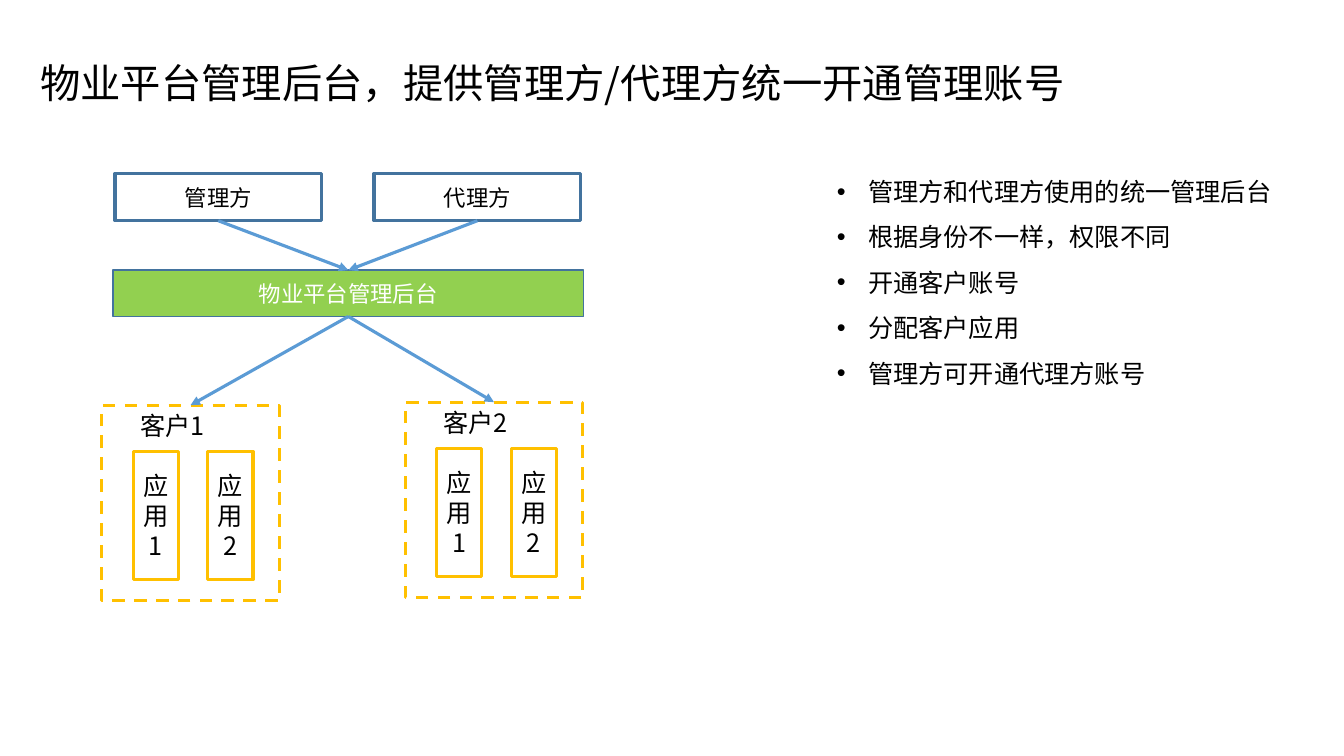
"""Build the property platform administration slide."""
from dataclasses import dataclass

from lxml.etree import SubElement
from pptx import Presentation
from pptx.dml.color import RGBColor
from pptx.enum.dml import MSO_LINE
from pptx.enum.shapes import MSO_CONNECTOR, MSO_SHAPE
from pptx.enum.text import MSO_ANCHOR as ANCHOR, MSO_AUTO_SIZE as FIT, PP_ALIGN as ALIGN
from pptx.oxml.ns import qn
from pptx.util import Inches, Pt

FONT = "Noto Sans CJK SC"
BLACK = RGBColor(0x00, 0x00, 0x00)
WHITE = RGBColor(0xFF, 0xFF, 0xFF)
GREEN = RGBColor(0x92, 0xD0, 0x50)
NAVY = RGBColor(0x43, 0x73, 0x9E)
BLUE = RGBColor(0x5B, 0x9B, 0xD5)
AMBER = RGBColor(0xFF, 0xC0, 0x00)
TOP, BOTTOM = 0, 2

TITLE = "物业平台管理后台，提供管理方/代理方统一开通管理账号"
POINTS = [
    "管理方和代理方使用的统一管理后台",
    "根据身份不一样，权限不同",
    "开通客户账号",
    "分配客户应用",
    "管理方可开通代理方账号",
]
APPS = ["应用1", "应用2"]


@dataclass
class Role:
    name: str
    left: float


@dataclass
class Client:
    name: str
    left: float
    top: float


ROLES = [Role("管理方", 1.14), Role("代理方", 3.71)]
CLIENTS = [Client("客户1", 1.01, 4.02), Client("客户2", 4.02, 3.99)]


def write(sp, *lines: str, size: float = 18, color: RGBColor = BLACK,
          align=ALIGN.LEFT, anchor=ANCHOR.TOP, spacing: float = 1.0) -> None:
    tf = sp.text_frame
    tf.word_wrap = True
    tf.auto_size = FIT.NONE
    tf.vertical_anchor = anchor
    for i, line in enumerate(lines):
        p = tf.add_paragraph() if i else tf.paragraphs[0]
        p.alignment = align
        p.line_spacing = spacing
        p.space_before = Pt(0)
        r = p.add_run()
        r.text = line
        r.font.size = Pt(size)
        r.font.name = FONT
        r.font.color.rgb = color
        SubElement(r.font._element, qn("a:ea"), typeface=FONT)


def place(sp, left: float, top: float, width: float, height: float) -> None:
    sp.left, sp.top = Inches(left), Inches(top)
    sp.width, sp.height = Inches(width), Inches(height)


def add_box(shapes, left: float, top: float, width: float, height: float,
            line: RGBColor, weight: float = 2.25, fill: RGBColor | None = None):
    sp = shapes.add_shape(MSO_SHAPE.RECTANGLE, Inches(left), Inches(top),
                          Inches(width), Inches(height))
    sp.shadow.inherit = False
    if fill is None:
        sp.fill.background()
    else:
        sp.fill.solid()
        sp.fill.fore_color.rgb = fill
    sp.line.color.rgb = line
    sp.line.width = Pt(weight)
    return sp


def add_arrow(shapes, source, target) -> None:
    cn = shapes.add_connector(MSO_CONNECTOR.STRAIGHT, 0, 0, 0, 0)
    cn.begin_connect(source, BOTTOM)
    cn.end_connect(target, TOP)
    cn.line.color.rgb = BLUE
    cn.line.width = Pt(2.25)
    SubElement(cn.line._get_or_add_ln(), qn("a:tailEnd"), type="triangle")
    SubElement(cn._element.spPr, qn("a:effectLst"))


def add_client(shapes, client: Client):
    group = shapes.add_group_shape().shapes
    for i, app in enumerate(APPS):
        sp = add_box(group, client.left + 0.31 + 0.74 * i, client.top + 0.46,
                     0.45, 1.27, AMBER)
        write(sp, app, align=ALIGN.CENTER, anchor=ANCHOR.MIDDLE)
    frame = add_box(group, client.left, client.top, 1.76, 1.94, AMBER)
    frame.line.dash_style = MSO_LINE.DASH
    label = group.add_textbox(Inches(client.left + 0.28), Inches(client.top),
                              Inches(1.05), Inches(0.4))
    write(label, client.name)
    return frame


def main() -> None:
    prs = Presentation()
    prs.slide_width, prs.slide_height = Inches(13.33), Inches(7.5)
    slide = prs.slides.add_slide(prs.slide_layouts[1])
    shapes = slide.shapes

    place(shapes.title, 0.3, 0.1, 13.03, 0.95)
    write(shapes.title, TITLE, size=28.8, anchor=ANCHOR.MIDDLE, spacing=2.0)

    body = slide.placeholders[1]
    place(body, 8.2, 1.55, 4.83, 2.83)
    write(body, *POINTS, spacing=1.5)
    for p in body.text_frame.paragraphs:
        pPr = p._p.get_or_add_pPr()
        pPr.set("marL", str(Inches(0.31)))
        pPr.set("indent", str(-Inches(0.31)))

    platform = add_box(shapes, 1.12, 2.68, 4.67, 0.46, NAVY, 1, GREEN)
    write(platform, "物业平台管理后台", size=16, color=WHITE,
          align=ALIGN.CENTER, anchor=ANCHOR.MIDDLE)
    for role in ROLES:
        sp = add_box(shapes, role.left, 1.72, 2.05, 0.47, NAVY)
        write(sp, role.name, size=16, align=ALIGN.CENTER, anchor=ANCHOR.MIDDLE)
        add_arrow(shapes, sp, platform)
    for client in CLIENTS:
        add_arrow(shapes, platform, add_client(shapes, client))

    prs.save("out.pptx")


if __name__ == "__main__":
    main()
